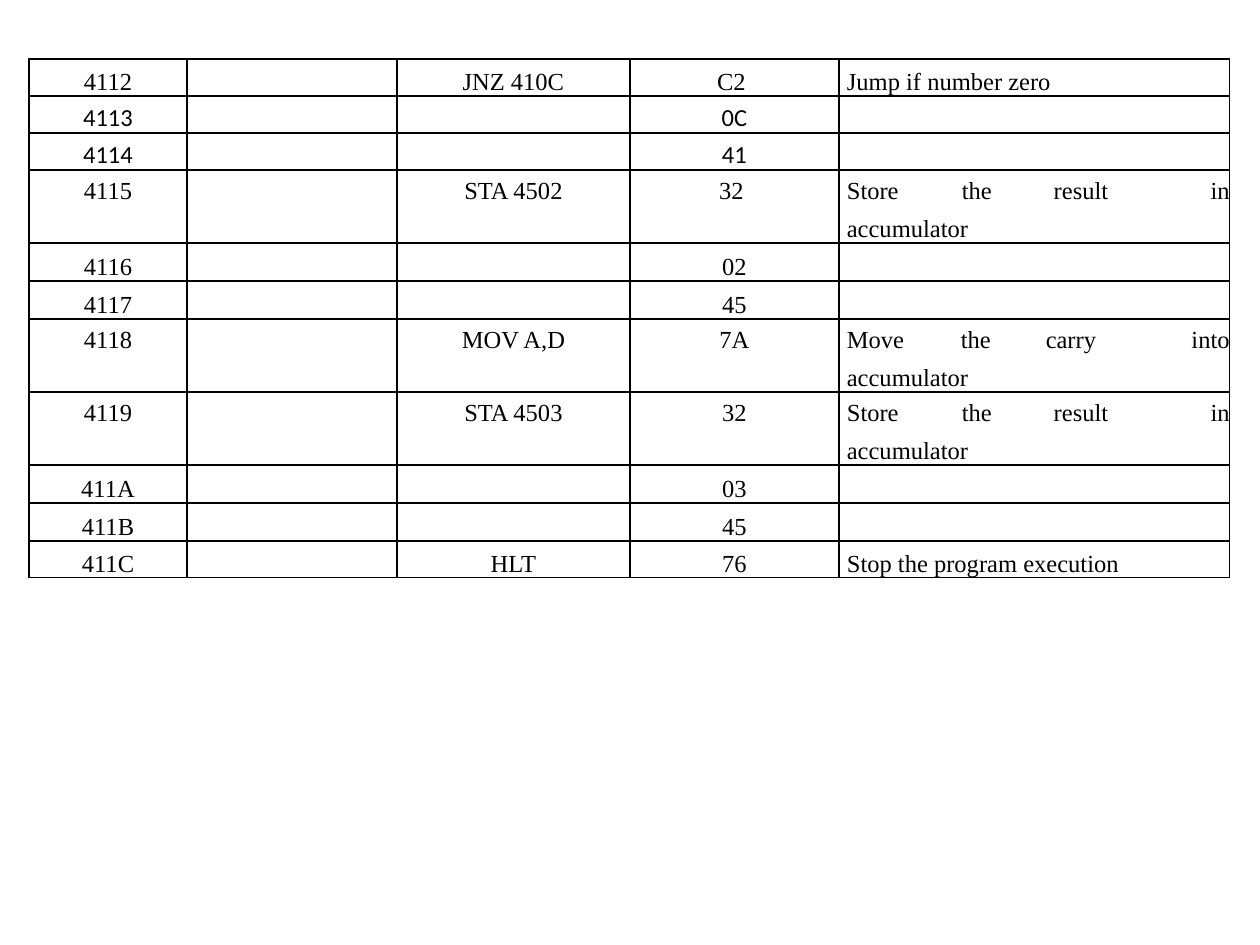
from dataclasses import dataclass, field
from enum import Enum

from lxml import etree
from pptx import Presentation
from pptx import util as u
from pptx.dml.color import RGBColor
from pptx.enum import text
from pptx.oxml.ns import qn

PX = u.Inches(1) / 126
INK = "000000"
SERIF, SANS = "Times New Roman", "Calibri"
LEFT, TOP = 29, 59
COLS = [158, 166, 44, 210, 23, 209, 23, 81, 88, 132, 67]
# Grid columns where a visible column starts and ends
STARTS, ENDS = {0, 1, 3, 5, 6}, {0, 2, 4, 5, 10}
ADDR, CODE, HEX, NOTE, LAST = 0, 3, 5, 6, 10
PAD = 8


@dataclass(frozen=True)
class Style:
    high: int
    spans: tuple[tuple[int, int], ...]
    tight: bool = True
    top: bool = True
    base: bool = True


class Kind(Enum):
    LINE = Style(37, ((3, 4), (6, 9)))
    HEAD = Style(35, ((3, 4), (6, 7)), base=False)
    TAIL = Style(38, ((6, 8),), tight=False, top=False)
    BYTE = Style(38, ((6, 8),), tight=False)
    STOP = Style(37, ((3, 4), (6, 10)))


@dataclass(frozen=True)
class Row:
    kind: Kind
    words: dict[int, str]
    pads: dict[int, int] = field(default_factory=dict)
    font: str = SERIF


def head(addr: str, code: str, byte: str, note: str, pads: tuple[int, int]) -> Row:
    """First line of a two-line step, its note spread over four cells."""
    words = dict(zip((ADDR, CODE, HEX, NOTE, 8, 9, LAST), (addr, code, byte, *note.split())))
    return Row(Kind.HEAD, words, dict(zip((8, 9), pads)))


def byte(addr: str, code: str, kind: Kind = Kind.BYTE, font: str = SERIF) -> Row:
    return Row(kind, {ADDR: addr, HEX: code}, font=font)


TAIL = Row(Kind.TAIL, {NOTE: "accumulator"})
ROWS = [
    Row(Kind.LINE, {ADDR: "4112", CODE: "JNZ 410C", HEX: "C2 ", NOTE: "Jump if number zero"}),
    byte("4113", "0C", Kind.LINE, SANS),
    byte("4114", "41", Kind.LINE, SANS),
    head("4115", "STA 4502", "32 ", "Store the result in", (19, 23)),
    TAIL,
    byte("4116", "02"),
    byte("4117", "45"),
    head("4118", "MOV A,D", "7A", "Move the carry into", (18, 15)),
    TAIL,
    head("4119", "STA 4503", "32", "Store the result in", (19, 23)),
    TAIL,
    byte("411A", "03"),
    byte("411B", "45"),
    Row(Kind.STOP, {ADDR: "411C", CODE: "HLT", HEX: "76", NOTE: "Stop the program execution"}),
]


def emu(px: int) -> int:
    return round(px * PX)


def color(code: str) -> RGBColor:
    return RGBColor.from_string(code)


def edge(cell, side: str, shown: bool) -> None:
    line = etree.SubElement(cell._tc.get_or_add_tcPr(), qn(f"a:ln{side}"), w=str(u.Pt(1)))
    if shown:
        fill = etree.SubElement(line, qn("a:solidFill"))
        etree.SubElement(fill, qn("a:srgbClr"), val=INK)
    else:
        etree.SubElement(line, qn("a:noFill"))


def frame(cell, col: int, style: Style) -> None:
    end = col + cell.span_width - 1 if cell.is_merge_origin else col
    edge(cell, "L", col in STARTS)
    edge(cell, "R", end in ENDS)
    edge(cell, "T", style.top)
    edge(cell, "B", style.base)
    cell.fill.background()


def write(cell, col: int, row: Row) -> None:
    cell.margin_left = cell.margin_right = cell.margin_top = cell.margin_bottom = 0
    cell.vertical_anchor = text.MSO_ANCHOR.BOTTOM
    word = row.words.get(col, "")
    cell.text_frame.text = word
    para = cell.text_frame.paragraphs[0]
    para.line_spacing = u.Pt(13) if row.kind.value.tight or not word else 1.15
    if not word:
        etree.SubElement(para._p, qn("a:endParaRPr"), sz="1000")
        return
    if col < NOTE:
        para.alignment = text.PP_ALIGN.CENTER
    elif col == LAST:
        para.alignment = text.PP_ALIGN.RIGHT
    else:
        para.alignment = text.PP_ALIGN.LEFT
        cell.margin_left = emu(row.pads.get(col, PAD))
    for run in para.runs:
        run.font.name = row.font
        run.font.size = u.Pt(14)
        run.font.color.rgb = color(INK)


def fill(table, num: int, row: Row) -> None:
    style = row.kind.value
    table.rows[num].height = emu(style.high)
    for start, end in style.spans:
        table.cell(num, start).merge(table.cell(num, end))
    for col in range(len(COLS)):
        cell = table.cell(num, col)
        frame(cell, col, style)
        write(cell, col, row)


def main() -> None:
    deck = Presentation()
    deck.slide_width, deck.slide_height = u.Inches(10), u.Inches(7.5)
    slide = deck.slides.add_slide(deck.slide_layouts[6])
    high = sum(row.kind.value.high for row in ROWS)
    box = map(emu, (LEFT, TOP, sum(COLS), high))
    table = slide.shapes.add_table(len(ROWS), len(COLS), *box).table
    table.first_row = table.horz_banding = False
    for col, wide in zip(table.columns, COLS):
        col.width = emu(wide)
    for num, row in enumerate(ROWS):
        fill(table, num, row)
    deck.save("out.pptx")


if __name__ == "__main__":
    main()
